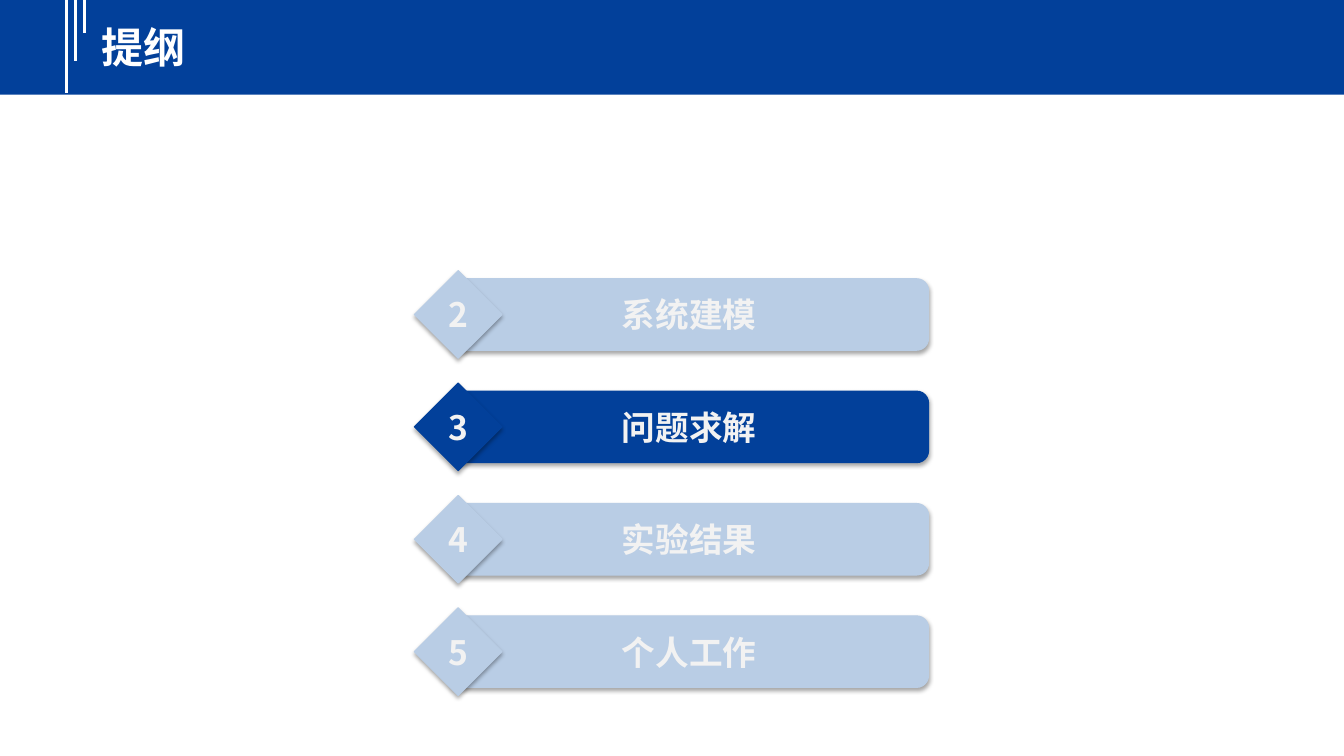
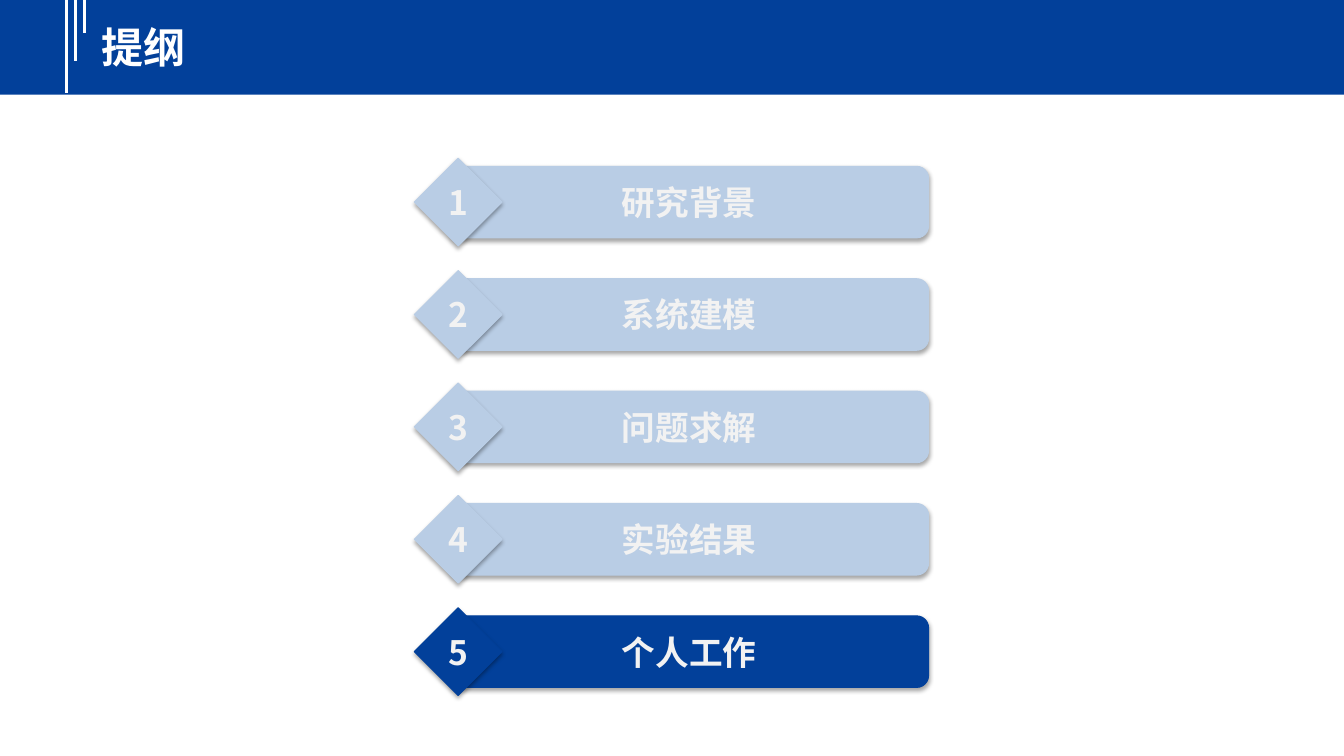
from dataclasses import dataclass

from lxml import etree
from pptx import Presentation
from pptx import util as u
from pptx.dml.color import RGBColor
from pptx.enum import shapes, text
from pptx.oxml import ns


@dataclass(frozen=True)
class Theme:
    navy: str = "02409A"
    pale: str = "B9CDE5"
    white: str = "FFFFFF"
    label: str = "F2F2F2"
    latin: str = "Calibri"
    chinese: str = "Noto Sans CJK SC"
    title_size: int = 30
    item_size: int = 24
    stripe_width: float = 2.25
    edge_width: float = 0.75


THEME = Theme()
TITLE = "提纲"
TOPICS = ["研究背景", "系统建模", "问题求解", "实验结果", "个人工作"]
STRIPES = [(0.66, 0.92), (0.75, 0.61), (0.84, 0.33)]

FIRST_TOP, LAST_TOP = 1.57, 6.03
PITCH = (LAST_TOP - FIRST_TOP) / (len(TOPICS) - 1)
BADGE_LEFT, BADGE_SIZE = 4.11, 0.87
BAR_LEFT, BAR_WIDTH, BAR_HEIGHT = 4.46, 4.75, 0.71


def inches(*lengths):
    return [u.Inches(length) for length in lengths]


def add_run(paragraph, words, size, color, latin):
    run = paragraph.add_run()
    run.text = words
    run.font.size = u.Pt(size)
    run.font.bold = True
    run.font.color.rgb = RGBColor.from_string(color)
    run.font.name = latin
    properties = run.font._element
    etree.SubElement(properties, ns.qn("a:ea"), typeface=THEME.chinese)


def add_shadow(shape):
    shape.shadow.inherit = False
    effects = shape.element.spPr.find(ns.qn("a:effectLst"))
    shadow = etree.SubElement(
        effects, ns.qn("a:outerShdw"),
        blurRad=str(u.Pt(3.1)), dist=str(u.Pt(1.8)), dir="5400000", rotWithShape="0",
    )
    black = etree.SubElement(shadow, ns.qn("a:srgbClr"), val="000000")
    etree.SubElement(black, ns.qn("a:alpha"), val="35000")


def add_label_shape(group, preset, box, color, words, latin):
    shape = group.shapes.add_shape(preset, *inches(*box))
    shape.fill.solid()
    shape.fill.fore_color.rgb = RGBColor.from_string(color)
    shape.line.color.rgb = RGBColor.from_string(color)
    shape.line.width = u.Pt(THEME.edge_width)
    add_shadow(shape)
    frame = shape.text_frame
    frame.word_wrap = False
    frame.vertical_anchor = text.MSO_ANCHOR.MIDDLE
    paragraph = frame.paragraphs[0]
    paragraph.alignment = text.PP_ALIGN.CENTER
    add_run(paragraph, words, THEME.item_size, THEME.label, latin)


def add_topic(slide, number, active):
    top = FIRST_TOP + (number - 1) * PITCH
    bar_top = top + (BADGE_SIZE - BAR_HEIGHT) / 2
    color = THEME.navy if active else THEME.pale
    group = slide.shapes.add_group_shape()
    add_label_shape(
        group, shapes.MSO_SHAPE.ROUNDED_RECTANGLE,
        (BAR_LEFT, bar_top, BAR_WIDTH, BAR_HEIGHT),
        color, TOPICS[number - 1], THEME.latin,
    )
    add_label_shape(
        group, shapes.MSO_SHAPE.DIAMOND,
        (BADGE_LEFT, top, BADGE_SIZE, BADGE_SIZE),
        color, str(number), THEME.chinese,
    )


def add_band(slide, width):
    band = slide.shapes.add_shape(shapes.MSO_SHAPE.RECTANGLE, 0, 0, width, u.Inches(0.94))
    band.fill.solid()
    band.fill.fore_color.rgb = RGBColor.from_string(THEME.navy)
    band.line.fill.background()
    band.shadow.inherit = False
    return band


def add_stripe(slide, x, length):
    stripe = slide.shapes.add_connector(
        shapes.MSO_CONNECTOR.STRAIGHT, *inches(x, 0, x, length)
    )
    stripe.line.color.rgb = RGBColor.from_string(THEME.white)
    stripe.line.width = u.Pt(THEME.stripe_width)
    etree.SubElement(stripe.element.spPr, ns.qn("a:effectLst"))
    return stripe


def prepare_layout(layout):
    for holder in list(layout.placeholders):
        if holder.placeholder_format.type == shapes.PP_PLACEHOLDER.TITLE:
            holder.left, holder.top, holder.width, holder.height = inches(
                0.91, 0.19, 12.16, 0.61
            )
        else:
            holder.element.getparent().remove(holder.element)


def move_header_to_layout(slide, width):
    header = [add_band(slide, width)]
    header += [add_stripe(slide, x, length) for x, length in STRIPES]
    tree = slide.slide_layout.shapes.element
    for position, part in enumerate(header, start=2):
        tree.insert(position, part.element)


def set_title(slide):
    frame = slide.shapes.title.text_frame
    frame.vertical_anchor = text.MSO_ANCHOR.MIDDLE
    paragraph = frame.paragraphs[0]
    paragraph.alignment = text.PP_ALIGN.LEFT
    paragraph.line_spacing = 0.9
    add_run(paragraph, TITLE, THEME.title_size, THEME.white, THEME.chinese)


def add_outline_slide(deck, layout, numbers, current):
    slide = deck.slides.add_slide(layout)
    set_title(slide)
    for number in numbers:
        add_topic(slide, number, number == current)
    return slide


def main():
    deck = Presentation()
    deck.slide_width, deck.slide_height = inches(13.33, 7.5)
    layout = deck.slide_layouts.get_by_name("Title Only")
    prepare_layout(layout)
    opening = add_outline_slide(deck, layout, [], None)
    move_header_to_layout(opening, deck.slide_width)
    for number in range(2, 6):
        add_topic(opening, number, number == 3)
    add_outline_slide(deck, layout, range(1, 6), 5)
    deck.save("out.pptx")


if __name__ == "__main__":
    main()
